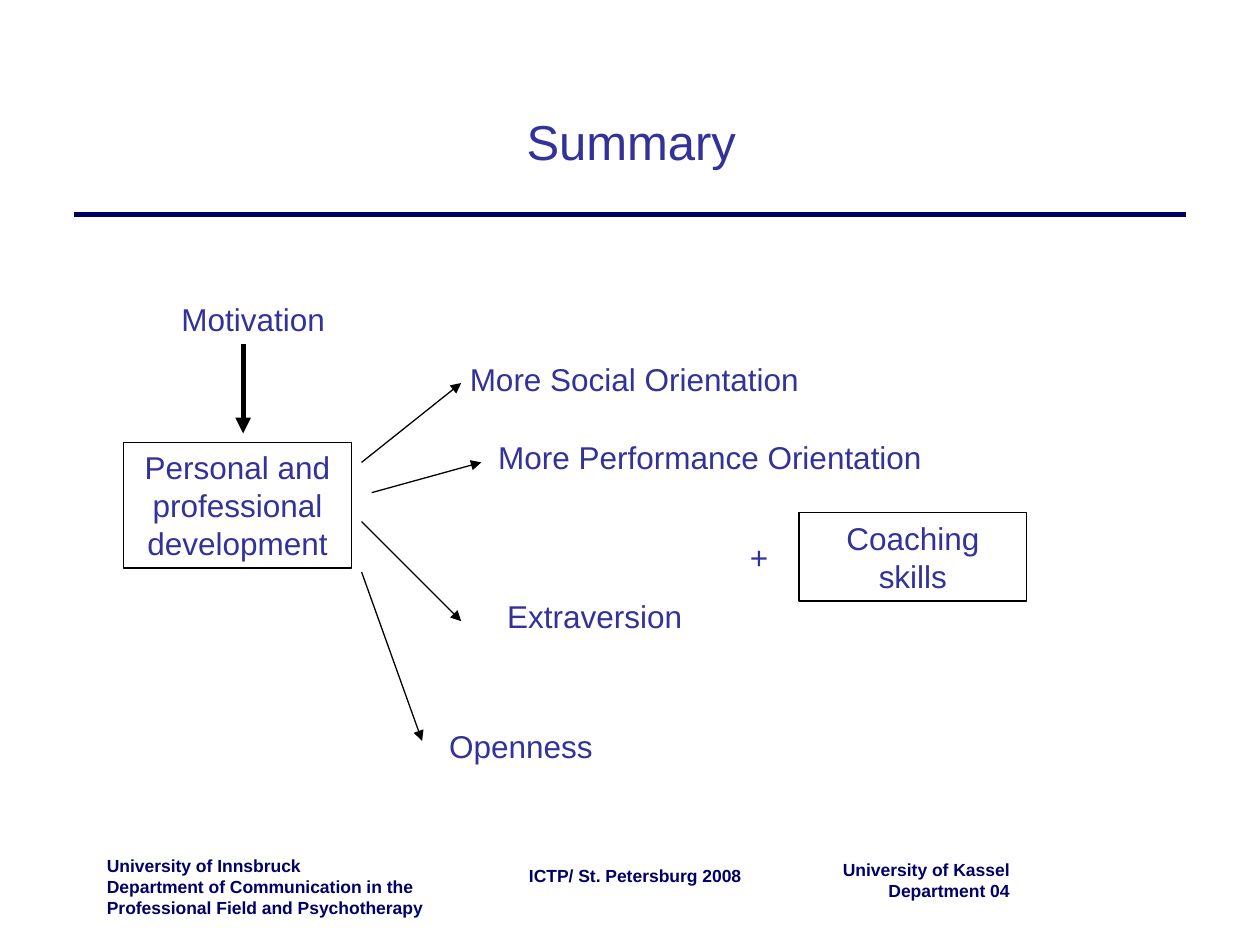
from lxml.etree import SubElement
from pptx import Presentation
from pptx.dml.color import RGBColor
from pptx.enum.shapes import MSO_CONNECTOR, MSO_SHAPE
from pptx.enum.text import MSO_ANCHOR, PP_ALIGN
from pptx.oxml.ns import qn
from pptx.util import Inches, Pt

NAVY = RGBColor(0x00, 0x00, 0x66)
INDIGO = RGBColor(0x32, 0x32, 0x9A)
BLACK = RGBColor(0x00, 0x00, 0x00)

TITLE_FONT = {"name": "Arial", "size": Pt(28), "bold": False}
BODY_FONT = {"name": "Arial", "size": Pt(18), "bold": False}
FOOTER_FONT = {"name": "Arial", "size": Pt(10), "bold": True}

deck = Presentation()
deck.slide_width, deck.slide_height = Inches(10), Inches(7.5)
# Grid of 100 columns by 75 rows
COL, ROW = deck.slide_width / 100, deck.slide_height / 75
slide = deck.slides.add_slide(deck.slide_layouts[5])
shapes = slide.shapes


def write(holder, lines, font_format, color, align=PP_ALIGN.CENTER, anchor=MSO_ANCHOR.TOP):
    frame = holder.text_frame
    frame.word_wrap = True
    frame.vertical_anchor = anchor
    frame.text = lines
    for paragraph in frame.paragraphs:
        paragraph.alignment = align
        for attribute, value in font_format.items():
            setattr(paragraph.font, attribute, value)
        paragraph.font.color.rgb = color


def draw_line(start, end, color, weight, arrow=True):
    (x1, y1), (x2, y2) = start, end
    line = shapes.add_connector(MSO_CONNECTOR.STRAIGHT, int(x1 * COL), int(y1 * ROW),
                                int(x2 * COL), int(y2 * ROW))
    line.line.color.rgb = color
    line.line.width = Pt(weight)
    if arrow:
        SubElement(line.line._get_or_add_ln(), qn("a:tailEnd"), type="triangle")
    SubElement(line._element.spPr, qn("a:effectLst"))


# Title and rule below it
title = shapes.title
title_area = {"left": 5.1 * COL, "top": 6.8 * ROW, "width": 90 * COL, "height": 8.7 * ROW}
for attribute, value in title_area.items():
    setattr(title, attribute, int(value))
write(title, "Summary", TITLE_FONT, INDIGO, anchor=MSO_ANCHOR.MIDDLE)
draw_line((5.9, 17), (94.1, 17), NAVY, 3, arrow=False)

# Footer: left, top, width, height in grid units
footers = [
    ("University of Innsbruck\nDepartment of Communication in the\n"
     "Professional Field and Psychotherapy", 7.5, 67.4, 27.7, 6, PP_ALIGN.LEFT),
    ("ICTP/ St. Petersburg 2008", 38.2, 68.2, 24.4, 1.6, PP_ALIGN.CENTER),
    ("University of Kassel\nDepartment 04", 65.2, 67.7, 15.9, 6, PP_ALIGN.RIGHT),
]
for lines, left, top, width, height, align in footers:
    footer = shapes.add_textbox(int(left * COL), int(top * ROW), int(width * COL), int(height * ROW))
    write(footer, lines, FOOTER_FONT, NAVY, align)

# Framed skills
BOX_WIDTH = 18.1
framed_skills = [
    ("Personal and professional development", 9.8, 35.1, 10),
    ("Coaching skills", 63.4, 40.7, 7),
]
for skill, left, top, height in framed_skills:
    box = shapes.add_shape(MSO_SHAPE.RECTANGLE, int(left * COL), int(top * ROW),
                           int(BOX_WIDTH * COL), int(height * ROW))
    box.shadow.inherit = False
    box.fill.background()
    box.line.color.rgb = BLACK
    box.line.width = Pt(0.75)
    write(box, skill, BODY_FONT, INDIGO)

# Labels around the boxes
LABEL_HEIGHT = 4
labels = [
    ("Motivation", 8.3, 23.3, 23.6),
    ("More Social Orientation", 35, 28.1, 30.7),
    ("More Performance Orientation", 33.5, 34.3, 45.7),
    ("Extraversion", 35.8, 46.9, 22.8),
    ("Openness", 25.6, 57.2, 31.5),
    ("+", 57.1, 42.2, 6.3),
]
for wording, left, top, width in labels:
    label = shapes.add_textbox(int(left * COL), int(top * ROW), int(width * COL),
                               int(LABEL_HEIGHT * ROW))
    write(label, wording, BODY_FONT, INDIGO)

# Arrows: motivation into development, development out to its results
arrows = [
    ((19.3, 27.3), (19.3, 34.4), 3),
    ((28.7, 36.7), (36.6, 30.4), 0.75),
    ((29.5, 39.1), (38.2, 36.7), 0.75),
    ((28.7, 41.4), (36.6, 49.3), 0.75),
    ((28.7, 45.4), (33.5, 58.8), 0.75),
]
for start, end, weight in arrows:
    draw_line(start, end, BLACK, weight)

deck.save("out.pptx")
